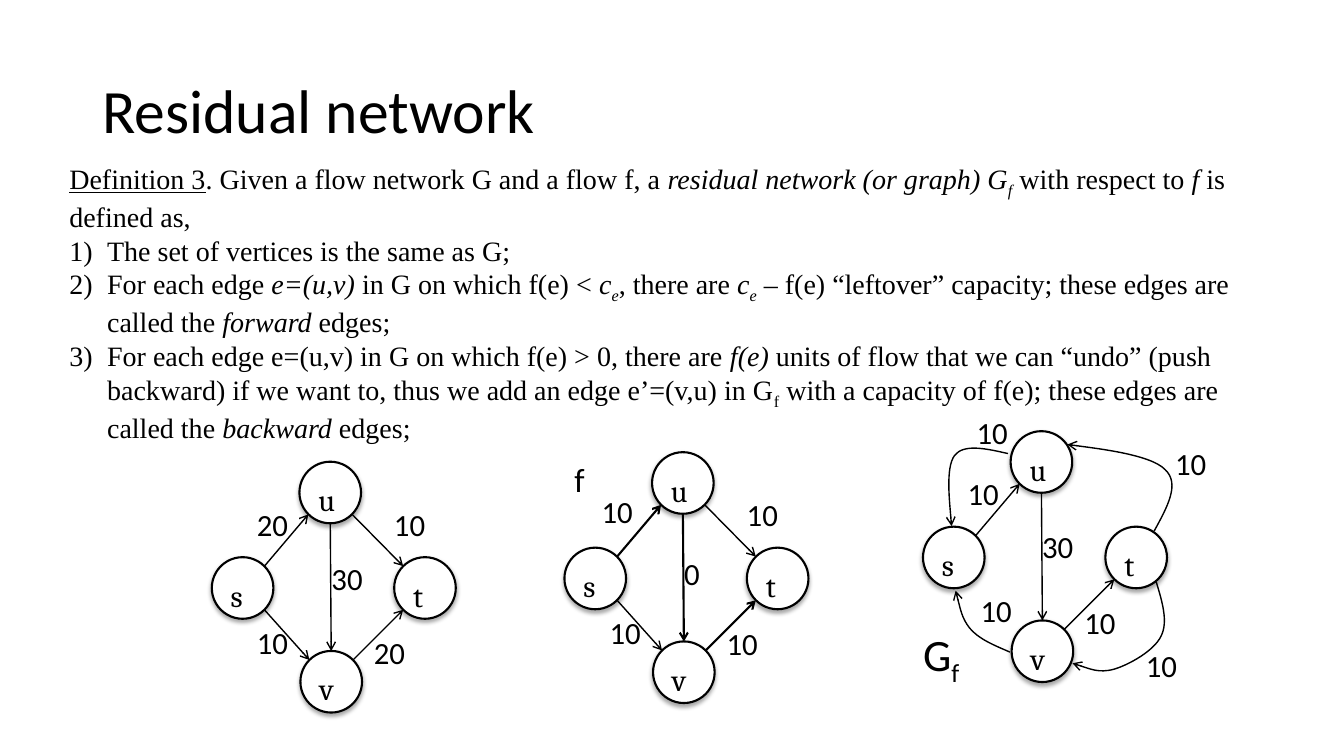
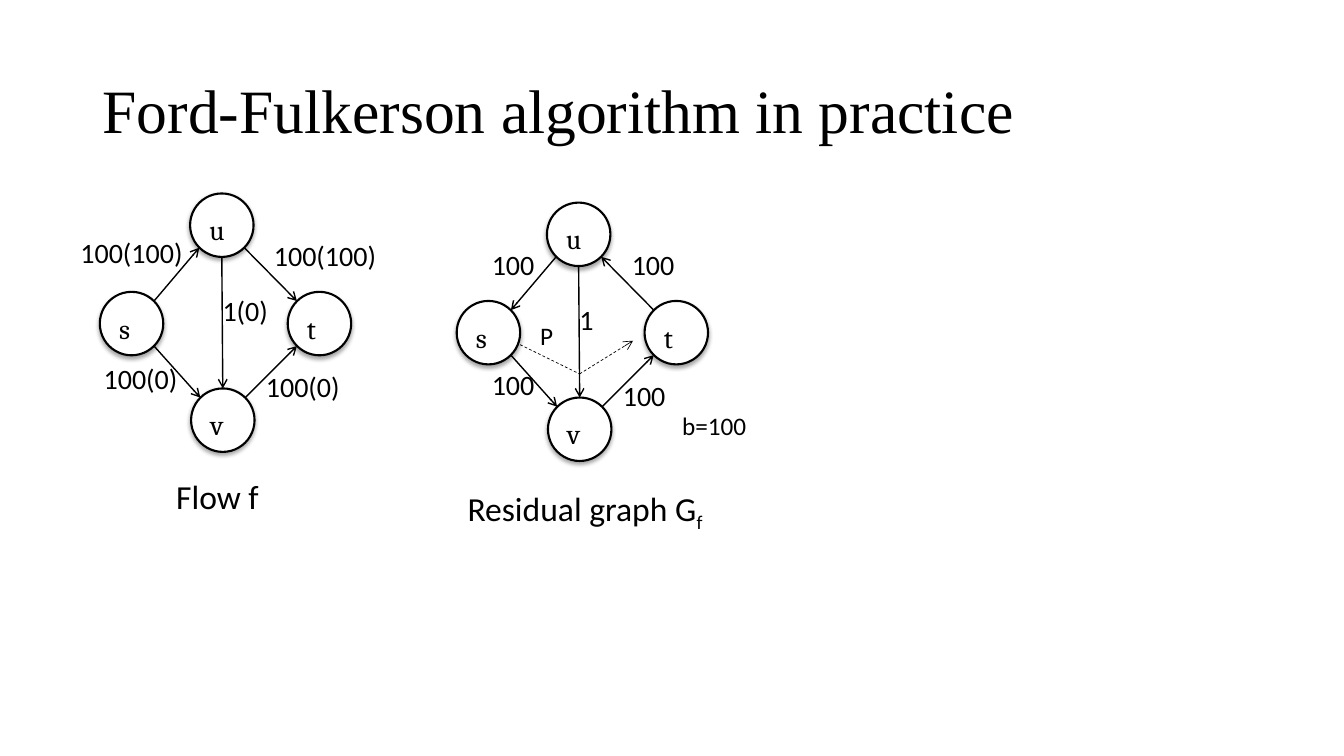
from lxml import etree
from pptx import Presentation
from pptx.dml.color import RGBColor
from pptx.enum.dml import MSO_LINE
from pptx.enum.shapes import MSO_CONNECTOR, MSO_SHAPE
from pptx.enum.text import MSO_ANCHOR, MSO_AUTO_SIZE, PP_ALIGN
from pptx.oxml.ns import qn
from pptx.util import Pt

DASH = MSO_LINE.DASH
OVAL = MSO_SHAPE.OVAL
STRAIGHT = MSO_CONNECTOR.STRAIGHT
LEFT = PP_ALIGN.LEFT
TOP, MIDDLE = MSO_ANCHOR.TOP, MSO_ANCHOR.MIDDLE
FIXED, GROW = MSO_AUTO_SIZE.NONE, MSO_AUTO_SIZE.SHAPE_TO_FIT_TEXT

COLORS = {"ink": "000000", "paper": "FFFFFF"}
INK = RGBColor.from_string(COLORS["ink"])
PAPER = RGBColor.from_string(COLORS["paper"])
SANS, SERIF, ROMAN = "Calibri", "Cambria", "Times New Roman"


def write(para, text, size=22, font=SANS):
    """Add text, or (text, style) runs; styles: i italic, u underline, s subscript."""
    para.alignment = LEFT
    for part, style in [(text, "")] if isinstance(text, str) else text:
        run = para.add_run()
        run.text = part
        run.font.size, run.font.name = Pt(size), font
        run.font.color.rgb = INK
        if "i" in style:
            run.font.italic = True
        if "u" in style:
            run.font.underline = True
        if "s" in style:
            run._r.get_or_add_rPr().set("baseline", "-25000")


def stroke(shape, width=1, arrow=True, dash=None):
    """Format the line and return the shape's emptied effect list."""
    shape.line.color.rgb = INK
    shape.line.width = Pt(width)
    if dash:
        shape.line.dash_style = dash
    props = shape._element.spPr
    if arrow:
        etree.SubElement(props.find(qn("a:ln")), qn("a:tailEnd"), type="arrow")
    return etree.SubElement(props, qn("a:effectLst"))


deck = Presentation()
deck.slide_width, deck.slide_height = Pt(960), Pt(540)

# Slides and titles
slides = []
for text, font in [("Residual network", SANS),
                   ("Ford-Fulkerson algorithm in practice", ROMAN)]:
    slide = deck.slides.add_slide(deck.slide_layouts[5])
    title = slide.shapes.title
    title.left, title.top, title.width, title.height = Pt(66), Pt(28.8), Pt(828), Pt(104.4)
    frame = title.text_frame
    frame.auto_size, frame.vertical_anchor = FIXED, MIDDLE
    frame.paragraphs[0].line_spacing = 0.9
    write(frame.paragraphs[0], text, size=44, font=font)
    slides.append(slide)
first, second = slides

# Definition with numbered points
INTRO = [("Definition 3", "u"), (". Given a flow network G and a flow f, a ", ""),
         ("residual network (or graph) G", "i"), ("f", "is"),
         (" with respect to ", ""), ("f", "i"), (" is defined as,", "")]
POINTS = [
    [("The set of vertices is the same as G;", "")],
    [("For each edge ", ""), ("e=(u,v) ", "i"), ("in G on which f(e) < ", ""),
     ("c", "i"), ("e", "is"), (", there are ", ""), ("c", "i"), ("e", "is"),
     (" – f(e) “leftover” capacity; these edges are called the ", ""),
     ("forward", "i"), (" edges;", "")],
    [("For each edge e=(u,v) in G on which f(e) > 0, there are ", ""), ("f(e)", "i"),
     (" units of flow that we can “undo” (push backward) if we want to, "
      "thus we add an edge e’=(v,u) in G", ""), ("f", "s"),
     (" with a capacity of f(e); these edges are called the ", ""),
     ("backward", "i"), (" edges;", "")],
]
frame = first.shapes.add_textbox(Pt(42.4), Pt(111.6), Pt(862.6), Pt(212)).text_frame
frame.word_wrap = True
write(frame.paragraphs[0], INTRO, size=20, font=ROMAN)
for point in POINTS:
    para = frame.add_paragraph()
    props = para._p.get_or_add_pPr()
    props.set("marL", str(Pt(27)))
    props.set("indent", str(-Pt(27)))
    etree.SubElement(props, qn("a:buFont"), typeface="+mj-lt")
    etree.SubElement(props, qn("a:buAutoNum"), type="arabicParenR")
    write(para, point, size=20, font=ROMAN)

# Graphs: slide, left, top, scale, text size, edges with line widths
NODES = {"u": (62.6, 0), "t": (130.3, 68.2), "s": (0, 68.2), "v": (63.3, 135.2)}
SIZE = 44
PLAIN = {"su": 1, "sv": 1, "ut": 1, "vt": 1, "uv": 1}
GRAPHS = [
    (first, 151.3, 329.8, 1, 22, PLAIN),
    (first, 403.2, 323, 1, 22, {**PLAIN, "su": 1.5, "vt": 1.5, "uv": 1.5}),
    (first, 659.3, 308, 1, 22, {"su": 1, "vt": 1, "uv": 1}),
    (second, 326.2, 144.7, 1.03, 20, {"us": 1, "sv": 1, "tu": 1, "vt": 1, "uv": 1}),
    (second, 71.3, 138.2, 1.03, 20, PLAIN),
]
for slide, left, top, scale, size, edges in GRAPHS:
    side = SIZE * scale
    mids = {}
    for name, (x, y) in NODES.items():
        x, y = left + x * scale, top + y * scale
        mids[name] = x + side / 2, y + side / 2
        node = slide.shapes.add_shape(OVAL, Pt(x), Pt(y), Pt(side), Pt(side))
        node.fill.solid()
        node.fill.fore_color.rgb = PAPER
        effects = stroke(node, 1.5, arrow=False)
        shade = etree.SubElement(effects, qn("a:outerShdw"), blurRad=str(Pt(3)),
                                 dist=str(Pt(2)), dir="5400000", rotWithShape="0")
        tint = etree.SubElement(shade, qn("a:srgbClr"), val=COLORS["ink"])
        etree.SubElement(tint, qn("a:alpha"), val="35000")
        frame = node.text_frame
        frame.vertical_anchor = TOP
        frame.margin_left = frame.margin_right = Pt(7.2)
        frame.margin_top = frame.margin_bottom = Pt(7.2)
        write(frame.paragraphs[0], name, size=size, font=SERIF)
    for (tail, head), width in edges.items():
        (x1, y1), (x2, y2) = mids[tail], mids[head]
        # Leave and enter circles at the diagonal, or upright for u to v
        upright = abs(x2 - x1) < 5
        reach = side / 2 * (1 if upright else 0.71)
        dx = 0 if upright else reach if x2 > x1 else -reach
        dy = reach if y2 > y1 else -reach
        edge = slide.shapes.add_connector(STRAIGHT, Pt(x1 + dx), Pt(y1 + dy),
                                          Pt(x2 - dx), Pt(y2 - dy))
        stroke(edge, width)

# Curved edges: a start, then three points for each curve
CURVES = [
    [(720, 324), (704.2, 320.4), (688.3, 316.8), (681.8, 325.4),
     (675.4, 334.1), (679.7, 375.8), (679.7, 375.8)],
    [(824.4, 379.4), (833.8, 362.2), (843.1, 345.6), (832.3, 335.5),
     (822.2, 324.7), (762.5, 317.5), (762.5, 317.5)],
    [(825.8, 415.4), (830.2, 429.8), (834.5, 444.2), (829.4, 454.3),
     (824.4, 465.1), (805.7, 475.2), (795.6, 478.1),
     (784.8, 481), (766.1, 473.8), (766.1, 473.8)],
    [(721.4, 465.8), (709.9, 460.8), (699.1, 456.5), (692.6, 448.6),
     (686.9, 441.4), (682.6, 421.9), (682.6, 421.9)],
]
for curve in CURVES:
    start, *rest = [(Pt(x), Pt(y)) for x, y in curve]
    pen = first.shapes.build_freeform(*start)
    pen.add_line_segments(rest, close=False)
    bend = pen.convert_to_shape()
    bend.fill.background()
    stroke(bend)
    trace = bend._element.find(".//" + qn("a:path"))
    steps = trace.findall(qn("a:lnTo"))
    for i in range(0, len(steps), 3):
        cubic = etree.SubElement(trace, qn("a:cubicBezTo"))
        for step in steps[i:i + 3]:
            cubic.append(step[0])
            trace.remove(step)

# Dashed route P
ROUTE = [(371.5, 246.2), (414, 267.1), (452.2, 243.4)]
for i, (start, end) in enumerate(zip(ROUTE, ROUTE[1:])):
    dash = second.shapes.add_connector(STRAIGHT, *map(Pt, start + end))
    stroke(dash, 0.5, arrow=i == 1, dash=DASH)

# Labels: slide, text, size, width, places
LABELS = [
    (first, "10", 22, 36.7, [
        (274.3, 357.8), (176.4, 442.1),
        (422.6, 348.5), (526.3, 350.6), (428.4, 434.9), (511.9, 442.8),
        (684, 335.5), (767.5, 427.7), (690.5, 292.3), (832.3, 313.9),
        (811.4, 458.6), (693.4, 419)]),
    (first, "20", 22, 36.7, [(176.4, 357.8), (259.9, 449.3)]),
    (first, "30", 22, 36.7, [(229.7, 396), (737.3, 373.7)]),
    (first, "0", 22, 25.9, [(481.7, 392.4)]),
    (first, "f", 24, 22.3, [(403.2, 324)]),
    (first, [("G", ""), ("f", "s")], 32, 41.8, [(652.3, 444.2)]),
    (second, "100", 20, 46, [(344.2, 173.5), (444.2, 173.5),
                             (344.2, 259.2), (437.8, 267.1)]),
    (second, "1", 20, 24.5, [(406.8, 212.4)]),
    (second, "b=100", 18, 61.2, [(480.2, 289.4)]),
    (second, "P", 18, 23.8, [(378.7, 225.4)]),
    (second, "100(100)", 20, 88.6, [(50.4, 164.9), (188.6, 167)]),
    (second, "100(0)", 20, 67.7, [(67, 254.9), (182.9, 260.6)]),
    (second, "1(0)", 20, 47.5, [(151.9, 205.9)]),
    (second, "Flow f", 24, 74.2, [(118.8, 336.2)]),
    (second, [("Residual graph G", ""), ("f", "s")], 24, 184.3, [(326.9, 344.9)]),
]
for slide, text, size, width, places in LABELS:
    for x, y in places:
        box = slide.shapes.add_textbox(Pt(x), Pt(y), Pt(width), Pt(1.2 * size + 7.2))
        box.text_frame.word_wrap = False
        box.text_frame.auto_size = GROW
        write(box.text_frame.paragraphs[0], text, size=size)

deck.save("out.pptx")
